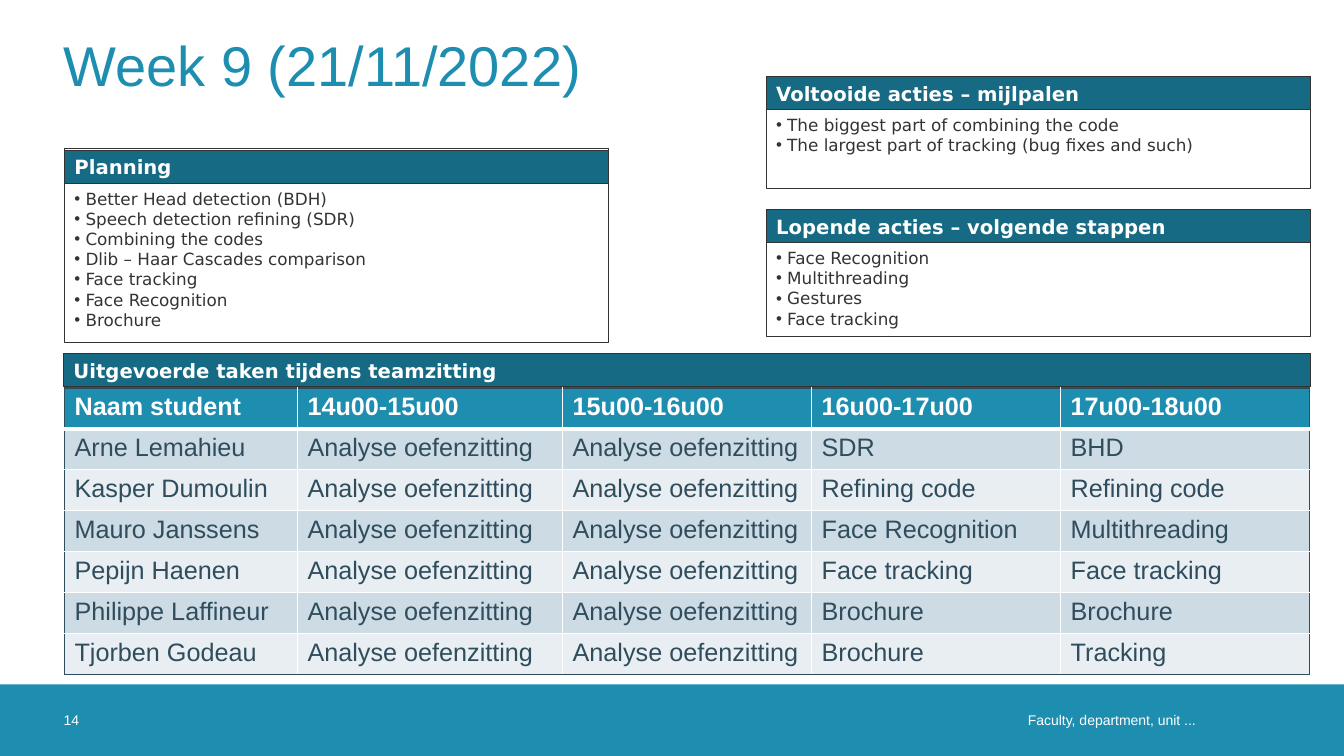
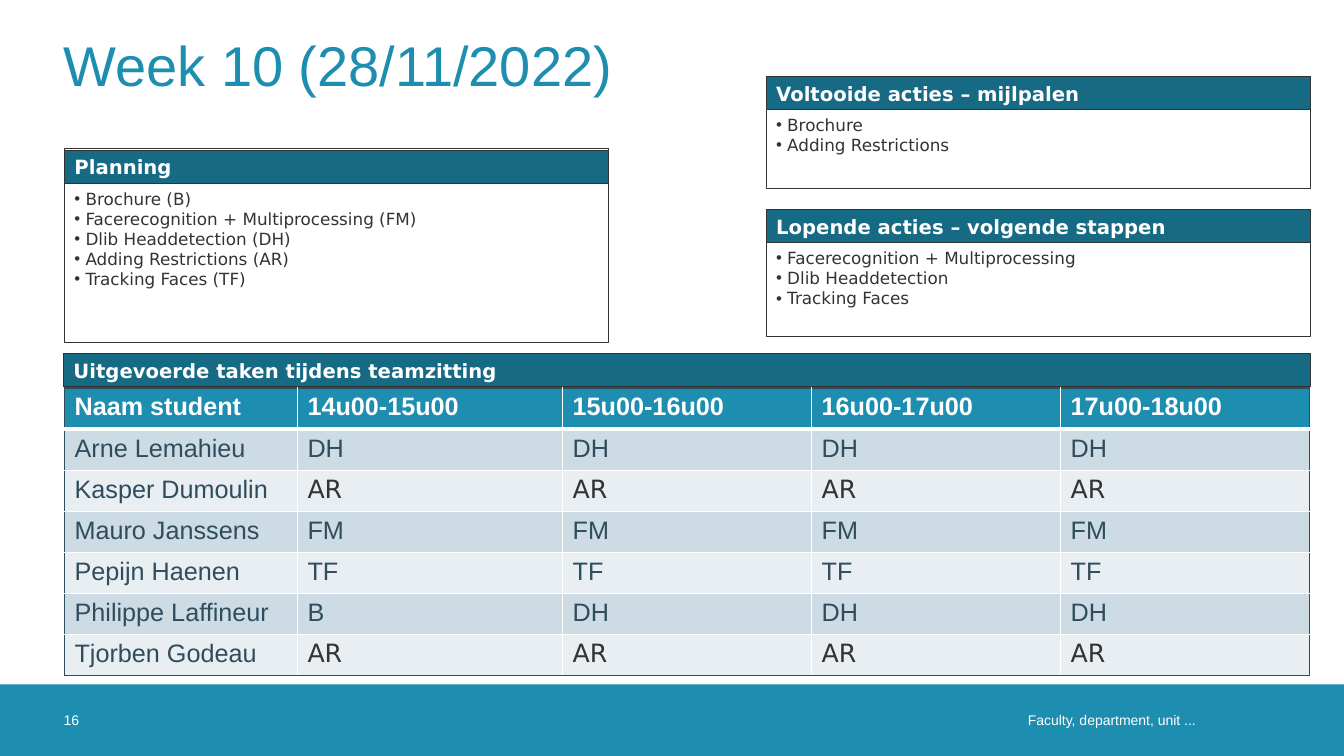
from pptx import Presentation
from pptx.dml.color import RGBColor
from pptx.enum.shapes import MSO_SHAPE as Shape
from pptx.enum.text import MSO_ANCHOR as Anchor, MSO_AUTO_SIZE as AutoSize, PP_ALIGN as Align
from pptx.oxml.ns import qn
from pptx.util import Inches, Pt
from lxml.etree import SubElement

COLORS = {
    "teal": "1D8DB0",
    "dark_teal": "166A84",
    "slate": "2F4D5D",
    "text": "333333",
    "band_dark": "CDDBE4",
    "band_light": "E8EEF2",
    "white": "FFFFFF",
}
SANS, PANEL_FONT = "Arial", "DejaVu Sans"
SLIDE_WIDTH, SLIDE_HEIGHT = 13.33, 7.5
LEFT = 0.63
FOOTER_TOP, FOOTER_HEIGHT = 6.79, 0.71
HEADER_HEIGHT = 0.33

PLANNING_BOX = (0.64, 1.47, 5.4, 1.93)
DONE_BOX = (7.6, 0.76, 5.4, 1.11)
NEXT_BOX = (7.6, 2.08, 5.4, 1.26)
TASKS_BOX = (LEFT, 3.51, 12.37)
COLUMN_WIDTHS = (2.31, 2.63, 2.47, 2.47, 2.47)
TABLE_HEADER = ("Naam student", "14u00-15u00", "15u00-16u00", "16u00-17u00", "17u00-18u00")
STUDENTS = ("Arne Lemahieu", "Kasper Dumoulin", "Mauro Janssens",
            "Pepijn Haenen", "Philippe Laffineur", "Tjorben Godeau")
EXERCISE = "Analyse oefenzitting"
RESTRICTIONS = "AR"  # task code set in the panel font

WEEKS = [
    {
        "title": "Week 9 (21/11/2022)",
        "number": "14",
        "planning": ["Better Head detection (BDH)", "Speech detection refining (SDR)",
                     "Combining the codes", "Dlib – Haar Cascades comparison",
                     "Face tracking", "Face Recognition", "Brochure"],
        "done": ["The biggest part of combining the code",
                 "The largest part of tracking (bug fixes and such)"],
        "next": ["Face Recognition", "Multithreading", "Gestures", "Face tracking"],
        "tasks": [
            [EXERCISE, EXERCISE, "SDR", "BHD"],
            [EXERCISE, EXERCISE, "Refining code", "Refining code"],
            [EXERCISE, EXERCISE, "Face Recognition", "Multithreading"],
            [EXERCISE, EXERCISE, "Face tracking", "Face tracking"],
            [EXERCISE, EXERCISE, "Brochure", "Brochure"],
            [EXERCISE, EXERCISE, "Brochure", "Tracking"],
        ],
        "table_height": 2.84,
    },
    {
        "title": "Week 10 (28/11/2022)",
        "number": "16",
        "planning": ["Brochure (B)", "Facerecognition + Multiprocessing (FM)",
                     "Dlib Headdetection (DH)", "Adding Restrictions (AR)",
                     "Tracking Faces (TF)"],
        "done": ["Brochure", "Adding Restrictions"],
        "next": ["Facerecognition + Multiprocessing", "Dlib Headdetection", "Tracking Faces"],
        "tasks": [["DH"] * 4, [RESTRICTIONS] * 4, ["FM"] * 4, ["TF"] * 4,
                  ["B", "DH", "DH", "DH"], [RESTRICTIONS] * 4],
        "table_height": 2.85,
    },
]


def color(name):
    return RGBColor.from_string(COLORS[name])


def inches(*lengths):
    return [Inches(length) for length in lengths]


def style_font(paragraph, name, size, color_name, bold=False):
    font = paragraph.font
    font.name, font.size, font.bold = name, Pt(size), bold
    font.color.rgb = color(color_name)


def set_frame(frame, margins, anchor):
    frame.word_wrap = True
    frame.auto_size = AutoSize.NONE
    frame.vertical_anchor = anchor
    (frame.margin_left, frame.margin_top,
     frame.margin_right, frame.margin_bottom) = inches(*margins)


def add_rectangle(slide, box, fill=None, line=None):
    rectangle = slide.shapes.add_shape(Shape.RECTANGLE, *inches(*box))
    rectangle.shadow.inherit = False
    if fill:
        rectangle.fill.solid()
        rectangle.fill.fore_color.rgb = color(fill)
    else:
        rectangle.fill.background()
    if line:
        rectangle.line.color.rgb = color(line)
        rectangle.line.width = Pt(0.75)
    else:
        rectangle.line.fill.background()
    return rectangle


def add_title(slide, text):
    title = slide.shapes.title
    title.left, title.top, title.width, title.height = inches(LEFT, 0.01, 12.07, 1.26)
    set_frame(title.text_frame, (0, 0, 0, 0), Anchor.MIDDLE)
    title.text_frame.text = text
    paragraph = title.text_frame.paragraphs[0]
    paragraph.alignment = Align.LEFT
    style_font(paragraph, SANS, 40, "teal")


def add_footer(slide, number):
    add_rectangle(slide, (0, FOOTER_TOP, SLIDE_WIDTH, FOOTER_HEIGHT), "teal")
    for text, left, width, right_margin, alignment in (
            ("Faculty, department, unit ...", 6.6, 5.46, 0.2, Align.RIGHT),
            (number, LEFT, 0.71, 0, Align.LEFT)):
        box = slide.shapes.add_textbox(*inches(left, FOOTER_TOP, width, FOOTER_HEIGHT))
        set_frame(box.text_frame, (0, 0, right_margin, 0), Anchor.MIDDLE)
        box.text_frame.text = text
        paragraph = box.text_frame.paragraphs[0]
        paragraph.alignment = alignment
        style_font(paragraph, SANS, 10, "white")


def add_header_bar(slide, left, top, width, text):
    bar = add_rectangle(slide, (left, top, width, HEADER_HEIGHT), "dark_teal", "text")
    set_frame(bar.text_frame, (0.1, 0.05, 0.1, 0.05), Anchor.MIDDLE)
    bar.text_frame.text = text
    paragraph = bar.text_frame.paragraphs[0]
    paragraph.alignment = Align.LEFT
    style_font(paragraph, PANEL_FONT, 14, "white", bold=True)


def add_bullet(paragraph):
    properties = paragraph._p.get_or_add_pPr()
    indent = Inches(0.11)
    properties.set("marL", str(indent))
    properties.set("indent", str(-indent))
    # Bullet elements come before the default run properties
    default_run = properties.find(qn("a:defRPr"))
    SubElement(properties, qn("a:buFont")).set("typeface", SANS)
    SubElement(properties, qn("a:buChar")).set("char", "•")
    if default_run is not None:
        properties.append(default_run)


def add_panel(slide, box, heading, items, header_offset=0):
    left, top, width, height = box
    add_rectangle(slide, box, line="text")
    header_top = top + header_offset
    add_header_bar(slide, left, header_top, width, heading)
    body_top = header_top + HEADER_HEIGHT
    body = slide.shapes.add_textbox(*inches(left, body_top, width, top + height - body_top))
    frame = body.text_frame
    set_frame(frame, (0.1, 0.05, 0.1, 0.05), Anchor.TOP)
    frame.text = "\n".join(items)
    for paragraph in frame.paragraphs:
        style_font(paragraph, PANEL_FONT, 12, "text")
        add_bullet(paragraph)


def set_borders(cell, borders):
    properties = cell._tc.get_or_add_tcPr()
    for position, (tag, (color_name, points)) in enumerate(borders.items()):
        line = SubElement(properties, qn(f"a:{tag}"), w=str(Pt(points)))
        fill = SubElement(line, qn("a:solidFill"))
        SubElement(fill, qn("a:srgbClr"), val=COLORS[color_name])
        properties.insert(position, line)  # borders precede the fill


def format_cell(cell, text, row, is_first, is_last, is_bottom):
    is_header = row == 0
    cell.text = text
    cell.fill.solid()
    band = "band_dark" if row % 2 else "band_light"
    cell.fill.fore_color.rgb = color("teal" if is_header else band)
    paragraph = cell.text_frame.paragraphs[0]
    if is_header:
        style_font(paragraph, SANS, 18, "white", bold=True)
    elif text == RESTRICTIONS:
        style_font(paragraph, PANEL_FONT, 18, "text")
    else:
        style_font(paragraph, SANS, 18, "slate")
    outer, inner, thick = ("slate", 1), ("white", 1), ("white", 3)
    set_borders(cell, {
        "lnL": outer if is_first else inner,
        "lnR": outer if is_last else inner,
        "lnT": outer if is_header else thick if row == 1 else inner,
        "lnB": thick if is_header else outer if is_bottom else inner,
    })


def add_tasks(slide, box, tasks, height):
    left, top, width = box
    rows = [TABLE_HEADER] + [[name, *work] for name, work in zip(STUDENTS, tasks)]
    table_box = (left + 0.01, top + HEADER_HEIGHT + 0.01, sum(COLUMN_WIDTHS), height)
    table = slide.shapes.add_table(len(rows), len(TABLE_HEADER), *inches(*table_box)).table
    table.horz_banding = False
    for column, column_width in zip(table.columns, COLUMN_WIDTHS):
        column.width = Inches(column_width)
    for row, texts in enumerate(rows):
        table.rows[row].height = Inches(height / len(rows))
        for column, text in enumerate(texts):
            format_cell(table.cell(row, column), text, row, column == 0,
                        column == len(texts) - 1, row == len(rows) - 1)
    add_header_bar(slide, left, top, width, "Uitgevoerde taken tijdens teamzitting")


def add_week(presentation, week):
    slide = presentation.slides.add_slide(presentation.slide_layouts[5])
    add_footer(slide, week["number"])
    add_title(slide, week["title"])
    add_panel(slide, PLANNING_BOX, "Planning", week["planning"], header_offset=0.02)
    add_tasks(slide, TASKS_BOX, week["tasks"], week["table_height"])
    add_panel(slide, DONE_BOX, "Voltooide acties – mijlpalen", week["done"])
    add_panel(slide, NEXT_BOX, "Lopende acties – volgende stappen", week["next"])


def main():
    presentation = Presentation()
    presentation.slide_width, presentation.slide_height = inches(SLIDE_WIDTH, SLIDE_HEIGHT)
    for week in WEEKS:
        add_week(presentation, week)
    presentation.save("out.pptx")


if __name__ == "__main__":
    main()
